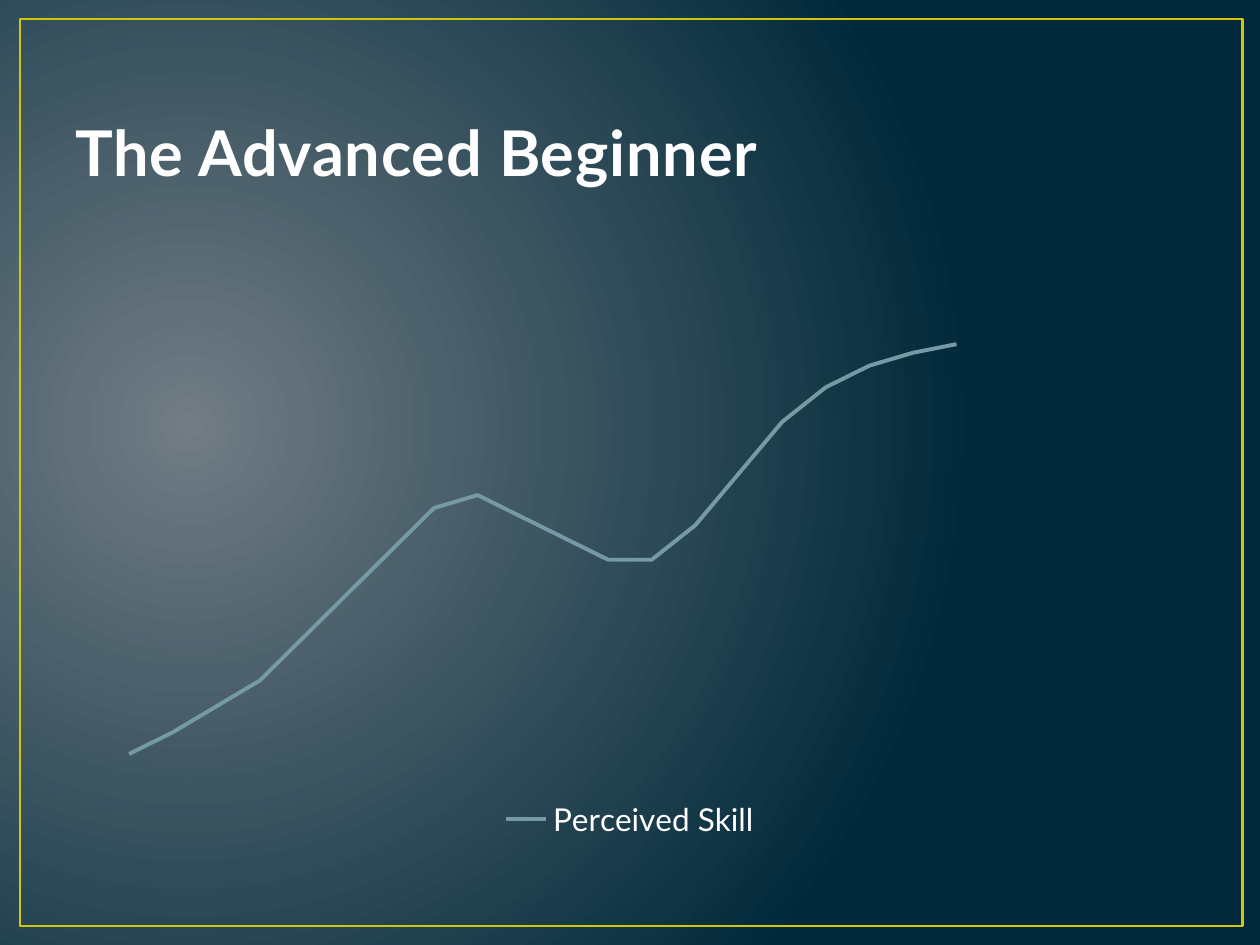
from dataclasses import dataclass

from lxml import etree
from pptx import Presentation
from pptx.chart.data import XyChartData
from pptx.dml.color import RGBColor
from pptx.enum.chart import XL_CHART_TYPE, XL_LEGEND_POSITION
from pptx.enum.shapes import MSO_SHAPE
from pptx.enum.text import MSO_ANCHOR
from pptx.oxml import parse_xml
from pptx.oxml.ns import qn
from pptx.util import Pt

SMOOTH = XL_CHART_TYPE.XY_SCATTER_SMOOTH_NO_MARKERS
BELOW = XL_LEGEND_POSITION.BOTTOM
RECT = MSO_SHAPE.RECTANGLE
BOTTOM = MSO_ANCHOR.BOTTOM
NS = 'xmlns:a="http://schemas.openxmlformats.org/drawingml/2006/main"'
NS_C = 'xmlns:c="http://schemas.openxmlformats.org/drawingml/2006/chart"'


@dataclass(frozen=True)
class Theme:
    font: str = "Lato"
    glow: str = "717C84"
    deep: str = "01293A"
    frame: str = "CFC60D"
    title: str = "FEFEFE"
    edge: str = "384F55"
    text: str = "FFFFFF"
    curve: str = "759AA5"
    head: float = 36
    body: float = 18


def color(code):
    return RGBColor.from_string(code)


class Deck:
    def __init__(self, theme, width, height):
        self.theme = theme
        self.show = Presentation()
        self.show.slide_width = Pt(width)
        self.show.slide_height = Pt(height)
        self.slide = self.show.slides.add_slide(self.show.slide_layouts[6])

    def style(self, font, size, code, bold=False):
        font.name = self.theme.font
        font.size = Pt(size)
        font.bold = bold
        font.color.rgb = color(code)

    def glow(self, left, top, right, bottom):
        fill = self.slide.background.fill
        fill.gradient()
        for stop, code in zip(fill.gradient_stops, (self.theme.glow, self.theme.deep)):
            stop.color.rgb = color(code)
        grad = self.slide.element.find(".//" + qn("a:gradFill"))
        grad.remove(grad.find(qn("a:lin")))
        grad.append(parse_xml(
            f'<a:path {NS} path="circle"><a:fillToRect l="{left * 1000}" '
            f't="{top * 1000}" r="{right * 1000}" b="{bottom * 1000}"/></a:path>'))

    def frame(self, box, width):
        shape = self.slide.shapes.add_shape(RECT, *map(Pt, box))
        shape.shadow.inherit = False
        shape.fill.background()
        shape.line.color.rgb = color(self.theme.frame)
        shape.line.width = Pt(width)

    def title(self, box, text):
        frame = self.slide.shapes.add_textbox(*map(Pt, box)).text_frame
        frame.word_wrap = True
        frame.vertical_anchor = BOTTOM
        frame.text = text
        run = frame.paragraphs[0].runs[0]
        self.style(run.font, self.theme.head, self.theme.title, True)
        props = run.font._element
        props.set("spc", "50")
        props.insert(0, parse_xml(
            f'<a:ln {NS} w="{Pt(1.05)}"><a:solidFill>'
            f'<a:srgbClr val="{self.theme.edge}"/></a:solidFill></a:ln>'))

    def chart(self, box, name, values, spans, plot):
        data = XyChartData()
        series = data.add_series(name)
        for x, y in enumerate(values, 1):
            series.add_data_point(x, y)
        chart = self.slide.shapes.add_chart(SMOOTH, *map(Pt, box), data).chart
        self.style(chart.font, self.theme.body, self.theme.text)
        chart.has_title = False
        chart.has_legend = True
        chart.legend.position = BELOW
        chart.legend.include_in_layout = False
        for axis, top in zip((chart.category_axis, chart.value_axis), spans):
            axis.minimum_scale, axis.maximum_scale = 0, top
            axis.has_major_gridlines = False
            axis.visible = False
        curve = chart.plots[0].series[0]
        curve.smooth = True
        curve.format.line.color.rgb = color(self.theme.curve)
        curve.format.line.width = Pt(2.25)
        self.layout(chart, plot)

    def layout(self, chart, plot):
        area = chart._chartSpace.find(".//" + qn("c:plotArea"))
        for old in area.findall(qn("c:layout")):
            area.remove(old)
        layout = parse_xml(f"<c:layout {NS_C}><c:manualLayout/></c:layout>")
        marks = [("layoutTarget", "inner"), ("xMode", "edge"), ("yMode", "edge")]
        for tag, value in marks + list(zip("xywh", plot)):
            etree.SubElement(layout[0], qn("c:" + tag)).set("val", str(value))
        area.insert(0, layout)

    def save(self):
        self.show.save("out.pptx")


def main():
    deck = Deck(Theme(), 720, 540)
    deck.glow(15, 50, 85, 60)
    deck.frame((11.5, 10.8, 698.4, 518.4), 1.5)
    deck.title((36, 21.6, 648, 90), "The Advanced Beginner")
    skill = (5, 10, 16, 22, 32, 42, 52, 62, 65, 60,
             55, 50, 50, 58, 70, 82, 90, 95, 98, 100)
    deck.chart((36, 126, 648, 356.4), "Perceived Skill", skill,
               (25, 120), (0.02, 0.06, 0.96, 0.83))
    deck.save()


if __name__ == "__main__":
    main()
